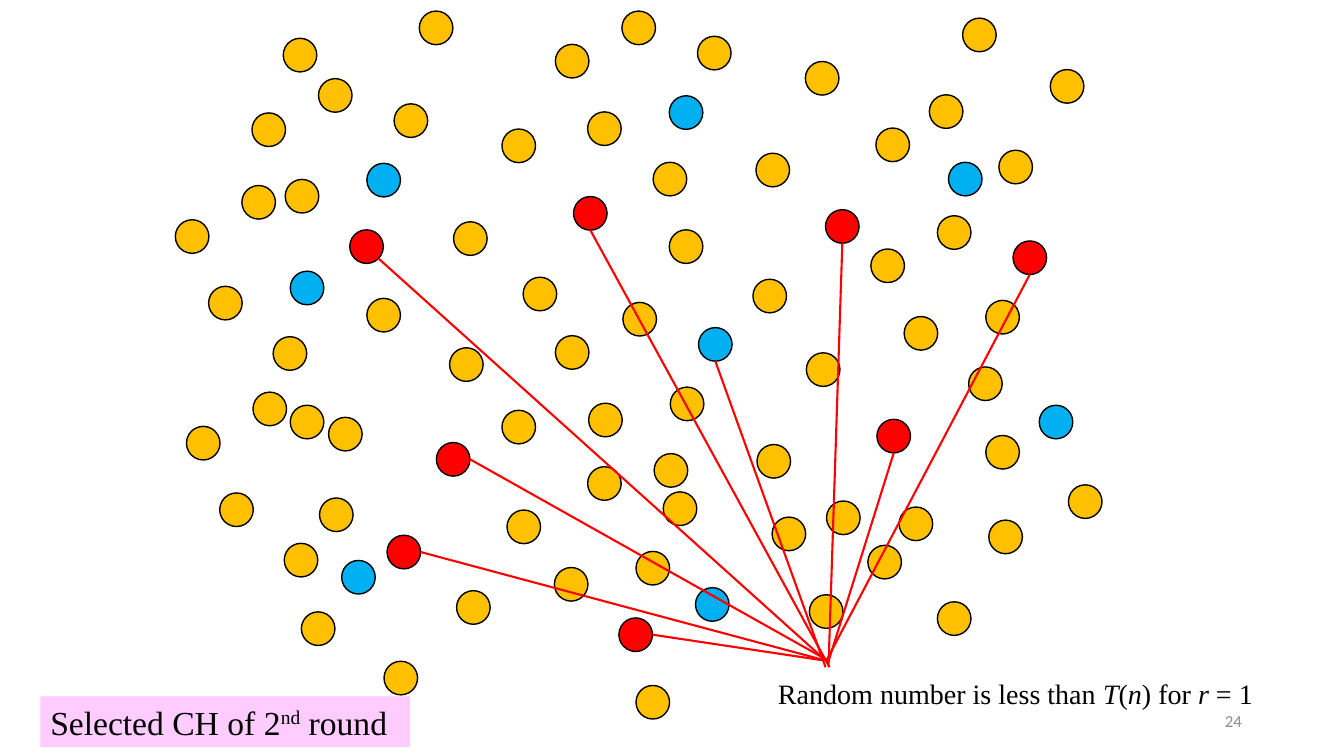
from dataclasses import dataclass

from lxml import etree
from pptx import Presentation
from pptx.dml.color import RGBColor
from pptx.enum.shapes import MSO_CONNECTOR, MSO_SHAPE
from pptx.enum.text import MSO_ANCHOR, PP_ALIGN
from pptx.oxml.ns import qn
from pptx.slide import Slide
from pptx.util import Inches, Pt

OVAL = MSO_SHAPE.OVAL
STRAIGHT = MSO_CONNECTOR.STRAIGHT
TOP, MIDDLE = MSO_ANCHOR.TOP, MSO_ANCHOR.MIDDLE
LEFT, RIGHT = PP_ALIGN.LEFT, PP_ALIGN.RIGHT

SLIDE_WIDTH, SLIDE_HEIGHT = Inches(13.33), Inches(7.5)
COLUMN, ROW = SLIDE_WIDTH / 40, SLIDE_HEIGHT / 22.5

COLORS = {
    "member": "FFC000",
    "former_head": "00B0F0",
    "head": "FF0000",
    "outline": "000000",
    "text": "000000",
    "round_label": "FFCCFF",
    "page_number": "8C8C8C",
}

Cell = tuple[float, float]

BELOW: Cell = (0.5, 1)
BESIDE: Cell = (1, 0.5)
DIAGONAL: Cell = (0.85, 0.85)

MEMBERS: list[Cell] = [
    (28.65, 0.54), (9.48, 2.34), (8.49, 5.34), (11.73, 3.09), (7.5, 3.36),
    (14.94, 3.84), (10.92, 8.88), (13.38, 10.35), (13.5, 6.6), (15.57, 8.25),
    (18.51, 0.33), (17.49, 3.33), (20.76, 1.08), (19.44, 4.83), (16.53, 1.32),
    (23.97, 1.83), (19.92, 6.84), (26.07, 3.81), (22.41, 8.31), (22.5, 4.56),
    (18.54, 9), (17.52, 12), (19.47, 13.5), (16.53, 9.99), (24, 10.5),
    (19.95, 11.52), (26.76, 15.09), (22.53, 13.23), (24.6, 14.91), (7.53, 11.67),
    (6.54, 14.67), (9.78, 12.42), (8.46, 16.17), (5.55, 12.69), (8.97, 18.21),
    (15.09, 15.18), (11.43, 19.68), (13.59, 17.58), (27.9, 6.42), (26.91, 9.42),
    (28.83, 10.92), (25.92, 7.41), (29.34, 8.94), (29.34, 12.96), (31.26, 2.07),
    (31.8, 14.43), (27.66, 2.82), (29.73, 4.47), (17.49, 13.89), (16.5, 16.89),
    (19.74, 14.64), (14.94, 12.21), (22.98, 15.39), (18.93, 16.41), (18.93, 20.4),
    (29.43, 15.48), (24.09, 17.7), (25.83, 16.23), (27.9, 17.91), (7.2, 5.52),
    (6.21, 8.52), (12.48, 0.33), (8.13, 10.02), (5.22, 6.54), (8.64, 12.06),
    (8.43, 1.14), (9.51, 14.82),
]
LINKED_FORMER_HEAD: Cell = (20.79, 9.75)
FORMER_HEADS: list[Cell] = [
    (10.92, 4.86), (19.92, 2.85), LINKED_FORMER_HEAD, (20.7, 17.49),
    (8.64, 8.07), (28.23, 4.83), (10.17, 16.68), (30.93, 12.06),
]


@dataclass(frozen=True)
class Link:
    node: Cell
    exit: Cell
    end: Cell


@dataclass(frozen=True)
class Piece:
    text: str
    italic: bool = False
    superscript: bool = False


@dataclass(frozen=True)
class Label:
    column: float
    row: float
    columns: float
    rows: float
    pieces: tuple[Piece, ...]
    size: int
    font: str = "Times New Roman"
    color: str = "text"
    fill: str = ""
    align: PP_ALIGN = LEFT
    anchor: MSO_ANCHOR = TOP
    wrap: bool = True


HEAD_LINKS = [
    Link((17.07, 5.85), BELOW, (24.69, 19.86)),
    Link((24.57, 6.24), BELOW, (24.66, 19.8)),
    Link((26.1, 12.48), BELOW, (24.63, 19.77)),
    Link((10.41, 6.84), DIAGONAL, (24.6, 19.68)),
    Link((12.99, 13.17), BESIDE, (24.63, 19.65)),
    Link((18.42, 18.39), BESIDE, (24.48, 19.65)),
    Link((11.52, 15.93), BESIDE, (24.54, 19.65)),
    Link((30.15, 7.17), BELOW, (24.6, 19.65)),
]
FORMER_HEAD_LINK = Link(LINKED_FORMER_HEAD, BELOW, (24.57, 19.86))

LABELS = [
    Label(22.86, 19.98, 14.76, 1.32, (
        Piece("Random number is less than "), Piece("T", italic=True),
        Piece("("), Piece("n", italic=True), Piece(") for "),
        Piece("r", italic=True), Piece(" = 1"),
    ), size=20, wrap=False),
    Label(1.2, 20.73, 11.01, 1.5, (
        Piece("Selected CH of 2"), Piece("nd", superscript=True), Piece(" round"),
    ), size=24, fill="round_label"),
    Label(28.26, 20.85, 9, 1.2, (Piece("24"),), size=12, font="Calibri",
          color="page_number", align=RIGHT, anchor=MIDDLE),
]


def rgb(role: str) -> RGBColor:
    return RGBColor.from_string(COLORS[role])


def across(columns: float) -> int:
    return round(columns * COLUMN)


def down(rows: float) -> int:
    return round(rows * ROW)


def draw_node(slide: Slide, cell: Cell, role: str) -> None:
    column, row = cell
    node = slide.shapes.add_shape(OVAL, across(column), down(row), across(1), down(1))
    node.shadow.inherit = False
    node.fill.solid()
    node.fill.fore_color.rgb = rgb(role)
    node.line.color.rgb = rgb("outline")
    node.line.width = Pt(1)


def draw_link(slide: Slide, link: Link) -> None:
    start_column = link.node[0] + link.exit[0]
    start_row = link.node[1] + link.exit[1]
    ray = slide.shapes.add_connector(
        STRAIGHT, across(start_column), down(start_row),
        across(link.end[0]), down(link.end[1]))
    ray.line.color.rgb = rgb("head")
    ray.line.width = Pt(1.5)
    etree.SubElement(ray._element.spPr, qn("a:effectLst"))


def draw_label(slide: Slide, label: Label) -> None:
    box = slide.shapes.add_textbox(
        across(label.column), down(label.row), across(label.columns), down(label.rows))
    if label.fill:
        box.fill.solid()
        box.fill.fore_color.rgb = rgb(label.fill)
    box.text_frame.word_wrap = label.wrap
    box.text_frame.vertical_anchor = label.anchor
    paragraph = box.text_frame.paragraphs[0]
    paragraph.alignment = label.align
    for piece in label.pieces:
        run = paragraph.add_run()
        run.text = piece.text
        run.font.name = label.font
        run.font.size = Pt(label.size)
        run.font.italic = piece.italic
        run.font.color.rgb = rgb(label.color)
        if piece.superscript:
            run._r.get_or_add_rPr().set("baseline", "30000")


def main() -> None:
    presentation = Presentation()
    presentation.slide_width, presentation.slide_height = SLIDE_WIDTH, SLIDE_HEIGHT
    slide = presentation.slides.add_slide(presentation.slide_layouts[6])
    nodes_by_role = {
        "member": MEMBERS,
        "former_head": FORMER_HEADS,
        "head": [link.node for link in HEAD_LINKS],
    }
    for role, cells in nodes_by_role.items():
        for cell in cells:
            draw_node(slide, cell, role)
    for link in [*HEAD_LINKS, FORMER_HEAD_LINK]:
        draw_link(slide, link)
    for label in LABELS:
        draw_label(slide, label)
    presentation.save("out.pptx")


if __name__ == "__main__":
    main()
